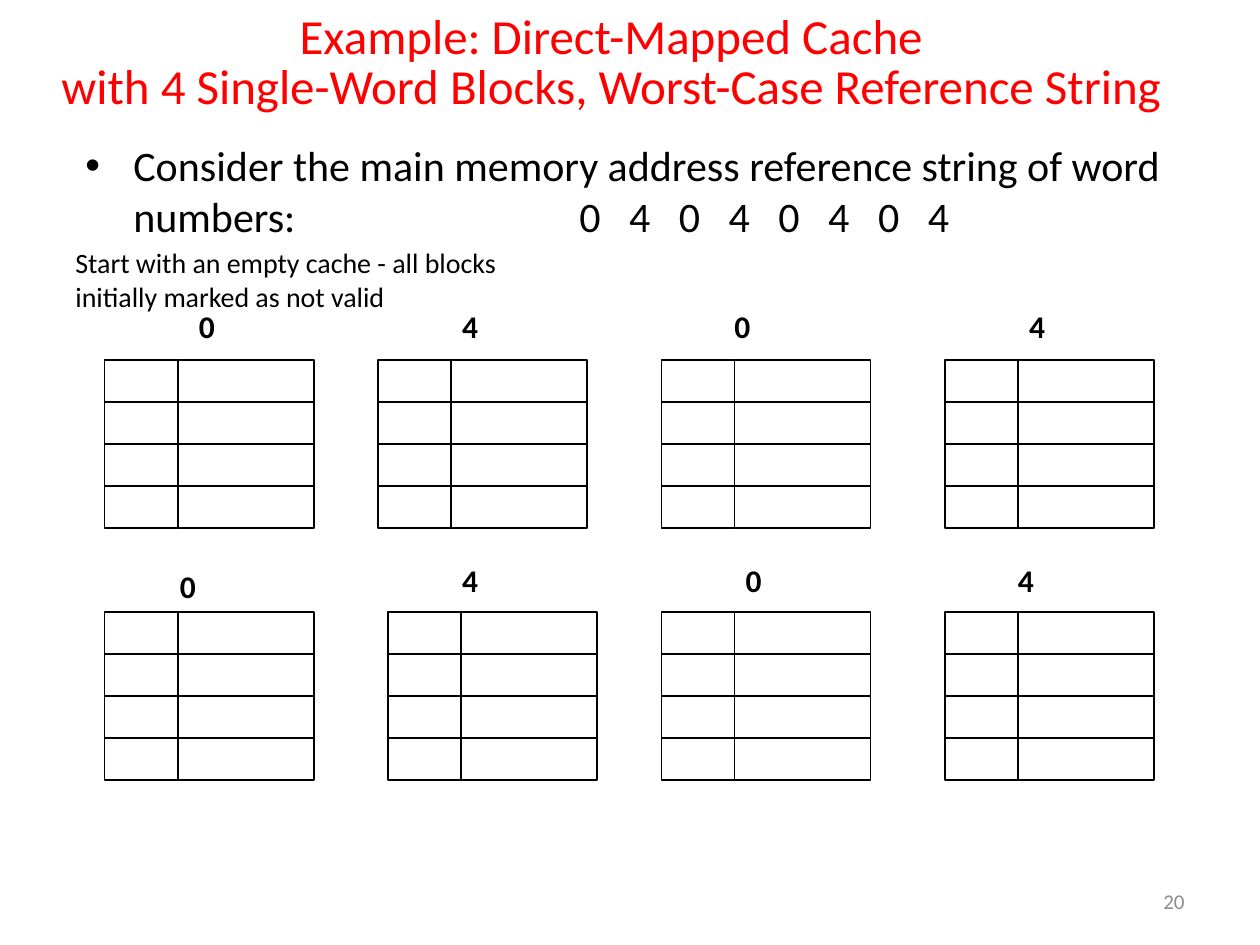
from pptx import Presentation
from pptx.dml.color import RGBColor
from pptx.enum.shapes import MSO_CONNECTOR, MSO_SHAPE
from pptx.enum.text import MSO_ANCHOR, MSO_AUTO_SIZE, PP_ALIGN
from pptx.oxml.ns import qn
from pptx.util import Inches, Pt
from lxml import etree

STRAIGHT = MSO_CONNECTOR.STRAIGHT
RECTANGLE = MSO_SHAPE.RECTANGLE
TOP, MIDDLE = MSO_ANCHOR.TOP, MSO_ANCHOR.MIDDLE
FIXED, GROW = MSO_AUTO_SIZE.NONE, MSO_AUTO_SIZE.SHAPE_TO_FIT_TEXT
LEFT, CENTER, RIGHT = PP_ALIGN.LEFT, PP_ALIGN.CENTER, PP_ALIGN.RIGHT

COLORS = {"title": "FF0000", "text": "000000", "line": "000000", "number": "8C8C8C"}
FONT = "Calibri"
TAG_WIDTH, DATA_WIDTH = 0.58, 1.08
BLOCKS, CACHE_HEIGHT = 4, 1.33
REFERENCES = "04040404"


class CacheSlide:
    def __init__(self, presentation):
        self.slide = presentation.slides.add_slide(presentation.slide_layouts[5])

    def place(self, shape, left, top, width, height):
        shape.left, shape.top = Inches(left), Inches(top)
        shape.width, shape.height = Inches(width), Inches(height)

    def style(self, paragraph, size, color="text", bold=False, align=LEFT):
        paragraph.alignment = align
        font = paragraph.font
        font.name, font.size, font.bold = FONT, Pt(size), bold
        font.color.rgb = RGBColor.from_string(COLORS[color])

    def title(self, text, box):
        shape = self.slide.shapes.title
        self.place(shape, *box)
        frame = shape.text_frame
        frame.text = text
        frame.auto_size, frame.vertical_anchor = FIXED, MIDDLE
        paragraph = frame.paragraphs[0]
        paragraph.line_spacing = 0.85
        self.style(paragraph, 28, "title", align=CENTER)

    def text(self, text, box, size, color="text", bold=False, align=LEFT,
             wrap=True, anchor=TOP, fit=FIXED):
        shape = self.slide.shapes.add_textbox(*map(Inches, box))
        frame = shape.text_frame
        frame.text = text
        frame.word_wrap, frame.auto_size, frame.vertical_anchor = wrap, fit, anchor
        self.style(frame.paragraphs[0], size, color, bold, align)
        return frame.paragraphs[0]

    def bullet(self, text, box, size, indent, tabs):
        paragraph = self.text("", box, size)
        paragraph.text = text
        properties = paragraph._p.get_or_add_pPr()
        properties.set("marL", str(Inches(indent)))
        properties.set("indent", str(-Inches(indent)))
        properties.remove(properties.find(qn("a:defRPr")))
        etree.SubElement(properties, qn("a:buFont"), typeface="Arial")
        etree.SubElement(properties, qn("a:buChar"), char="•")
        tab_list = etree.SubElement(properties, qn("a:tabLst"))
        for position in tabs:
            etree.SubElement(tab_list, qn("a:tab"), pos=str(Inches(position)), algn="l")
        self.style(paragraph, size)

    def outline(self, shape):
        shape.line.color.rgb = RGBColor.from_string(COLORS["line"])
        shape.line.width = Pt(1)

    def column(self, left, top, width):
        group = self.slide.shapes.add_group_shape()
        frame = group.shapes.add_shape(
            RECTANGLE, *map(Inches, (left, top, width, CACHE_HEIGHT)))
        frame.shadow.inherit = False
        frame.fill.background()
        self.outline(frame)
        for row in range(1, BLOCKS):
            y = top + row * CACHE_HEIGHT / BLOCKS
            line = group.shapes.add_connector(
                STRAIGHT, *map(Inches, (left, y, left + width, y)))
            if row * 2 == BLOCKS:
                line.begin_connect(frame, 1)
                line.end_connect(frame, 3)
            self.outline(line)
            etree.SubElement(line._element.spPr, qn("a:effectLst"))

    def cache(self, left, top):
        self.column(left, top, TAG_WIDTH)
        self.column(left + TAG_WIDTH, top, DATA_WIDTH)


def main():
    presentation = Presentation()
    presentation.slide_width, presentation.slide_height = Inches(10), Inches(7.5)
    page = CacheSlide(presentation)
    page.title("Example: Direct-Mapped Cache\v"
               "with 4 Single-Word Blocks, Worst-Case Reference String",
               (0.21, 0, 9.28, 1.03))

    cache_places = [(left, top) for top, lefts in (
        (2.86, (0.83, 3, 5.25, 7.5)),
        (4.86, (0.83, 3.08, 5.25, 7.5))) for left in lefts]
    label_places = [(1.48, 2.39), (3.57, 2.39), (5.73, 2.39), (8.07, 2.39),
                    (1.33, 4.45), (3.57, 4.4), (5.82, 4.4), (7.98, 4.4)]
    for reference, cache_place, label_place in zip(REFERENCES, cache_places, label_places):
        page.cache(*cache_place)
        page.text(reference, (*label_place, 0.34, 0.4), 18,
                  bold=True, wrap=False, fit=GROW)

    page.bullet("Consider the main memory address reference string of word numbers:\t"
                + "\t".join(REFERENCES), (0.58, 1.06, 8.92, 1.1), 24, 0.38,
                [3.92 + 0.395 * index for index in range(len(REFERENCES))])
    page.text("Start with an empty cache - all blocks initially marked as not valid",
              (0.5, 1.9, 3.75, 0.64), 16, fit=GROW)
    page.text("20", (7.17, 6.95, 2.33, 0.4), 12, "number", align=RIGHT, anchor=MIDDLE)
    presentation.save("out.pptx")


if __name__ == "__main__":
    main()
